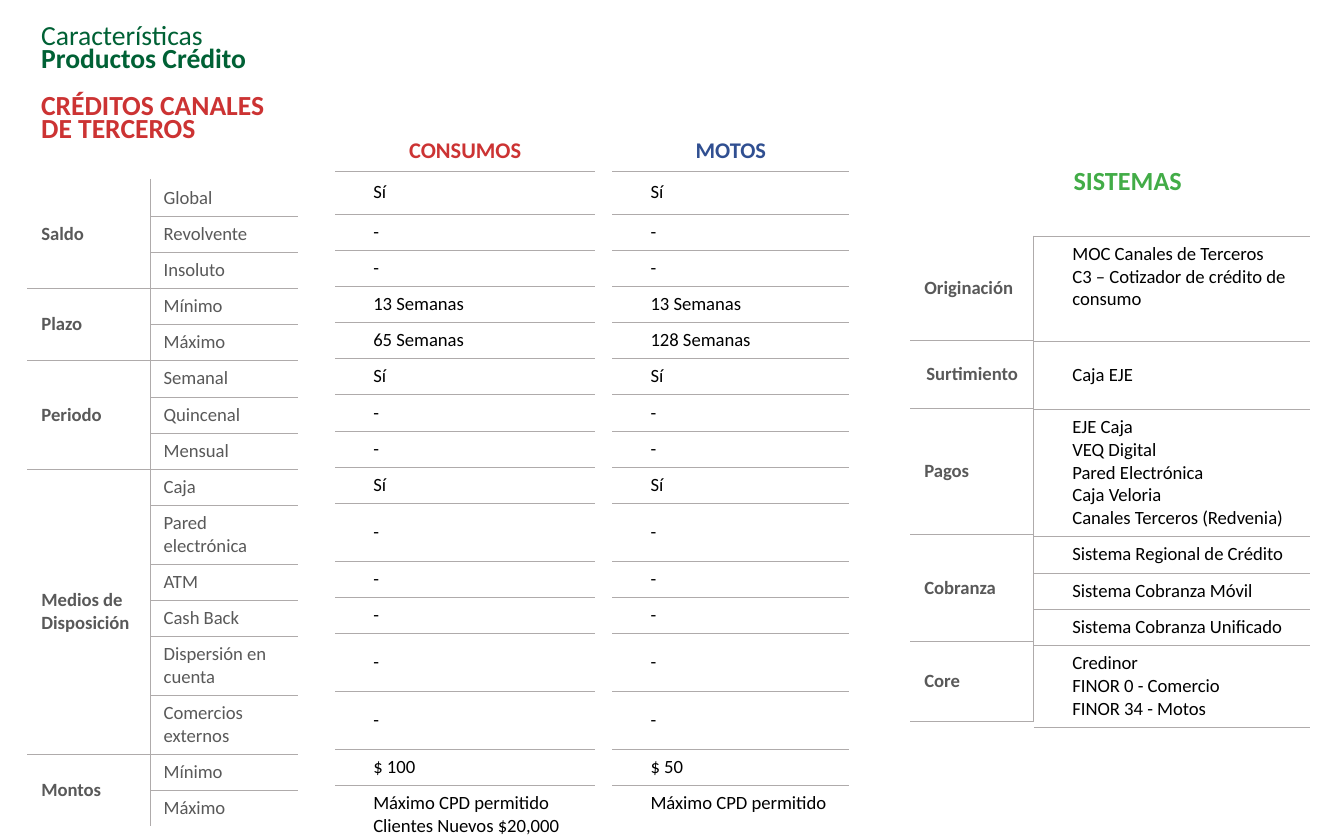
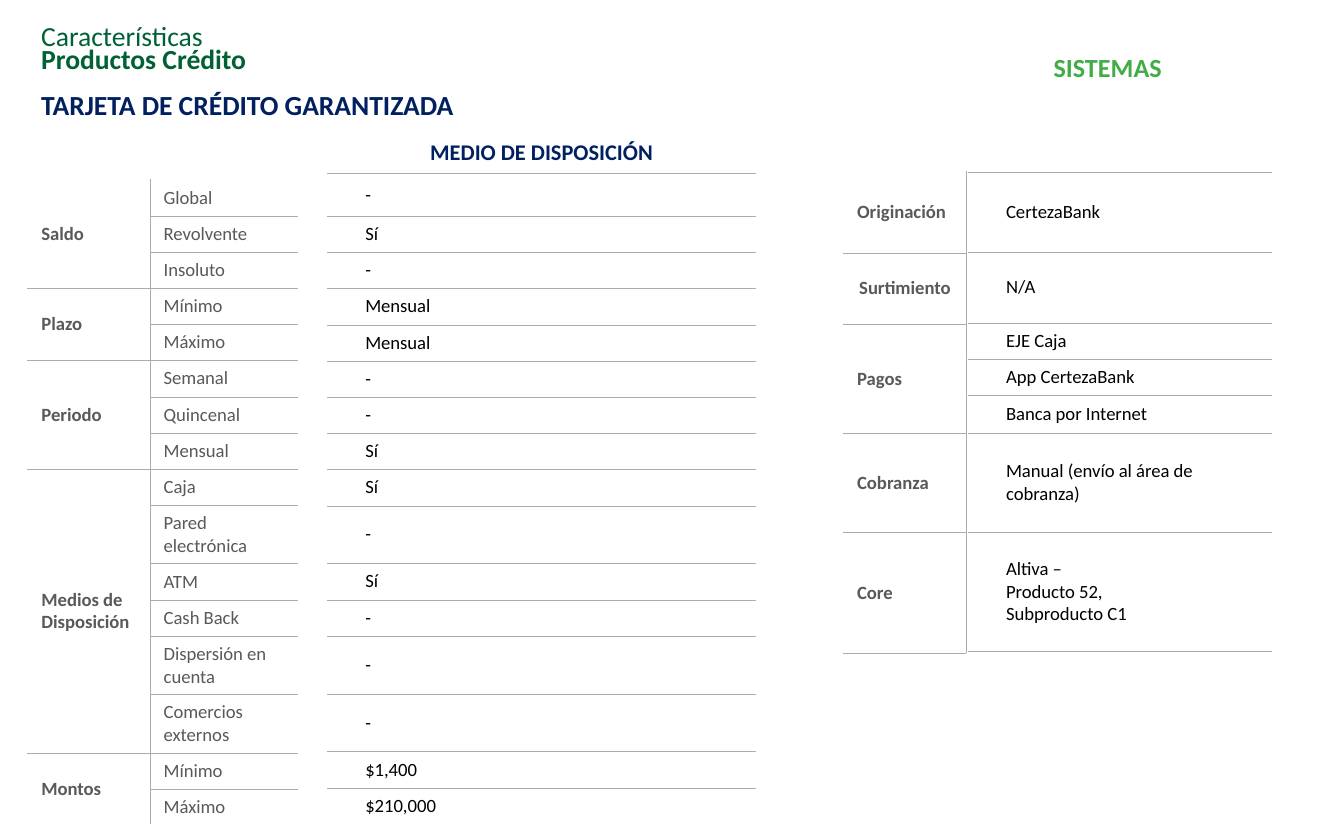
from lxml import etree
from pptx import Presentation
from pptx.dml.color import RGBColor
from pptx.enum import text
from pptx.oxml import ns
from pptx.util import Pt

FONT = "Calibri"
DARK_GREEN, GREEN = "006135", "42AC47"
RED, BLUE, NAVY = "CC3333", "304F91", "002060"
GRAY, BLACK, WHITE, RULE = "595959", "000000", "FFFFFF", "AFABAB"
ANCHOR = text.MSO_ANCHOR
CENTER = text.PP_ALIGN.CENTER

# Row heights: header, first row, one line of text, two lines of text
HEAD, FIRST, ONE, TWO = 69, 23, 19.4, 31
VALUE_ROWS = [HEAD, FIRST] + [ONE] * 8 + [TWO, ONE, ONE, TWO, TWO, ONE, ONE]

FEATURES = [
    ("Saldo", ["Global", "Revolvente", "Insoluto"]),
    ("Plazo", ["Mínimo", "Máximo"]),
    ("Periodo", ["Semanal", "Quincenal", "Mensual"]),
    ("Medios de Disposición", ["Caja", "Pared electrónica", "ATM", "Cash Back",
                               "Dispersión en cuenta", "Comercios externos"]),
    ("Montos", ["Mínimo", "Máximo"]),
]
TWO_LINE_FEATURES = ("Pared electrónica", "Dispersión en cuenta",
                     "Comercios externos")
SYSTEM_LABELS = ["Originación", "Surtimiento", "Pagos", "Cobranza", "Core"]

CONSUMOS = ["Sí", "-", "-", "13 Semanas", "65 Semanas", "Sí", "-", "-", "Sí",
            "-", "-", "-", "-", "-", "$ 100",
            "Máximo CPD permitido\nClientes Nuevos $20,000"]
MOTOS = ["Sí", "-", "-", "13 Semanas", "128 Semanas", "Sí", "-", "-", "Sí",
         "-", "-", "-", "-", "-", "$ 50", "Máximo CPD permitido"]
GARANTIZADA = ["-", "Sí", "-", "Mensual", "Mensual", "-", "-", "Sí", "Sí",
               "-", "Sí", "-", "-", "-", "$1,400", "$210,000"]

THIRD_PARTY_SYSTEMS = [
    "MOC Canales de Terceros\nC3 – Cotizador de crédito de consumo",
    "Caja EJE",
    "EJE Caja\nVEQ Digital\nPared Electrónica\nCaja Veloria\n"
    "Canales Terceros (Redvenia)",
    "Sistema Regional de Crédito",
    "Sistema Cobranza Móvil",
    "Sistema Cobranza Unificado",
    "Credinor\nFINOR 0 - Comercio\nFINOR 34 - Motos",
]
CARD_SYSTEMS = [
    "CertezaBank", "N/A", "EJE Caja", "App CertezaBank", "Banca por Internet",
    "Manual (envío al área de cobranza)",
    "Altiva –\nProducto 52,\nSubproducto C1",
]


def rgb(value):
    return RGBColor.from_string(value)


def style_text(p, size, color, bold=False, align=None):
    f = p.font
    f.name, f.size, f.bold = FONT, Pt(size), bold
    f.color.rgb = rgb(color)
    if align is not None:
        p.alignment = align


# Tables
def set_borders(cell, ruled):
    """Draw gray rules on the sides named in ruled, white ones elsewhere."""
    tc_pr = cell._tc.get_or_add_tcPr()
    for side in "LRTB":
        color, width = (RULE, 0.25) if side in ruled else (WHITE, 1)
        ln = etree.SubElement(tc_pr, ns.qn(f"a:ln{side}"), w=str(Pt(width)))
        fill = etree.SubElement(ln, ns.qn("a:solidFill"))
        etree.SubElement(fill, ns.qn("a:srgbClr"), val=color)


def fill_cell(cell, words, ruled, size=10, color=BLACK, bold=False,
              align=None, anchor=ANCHOR.MIDDLE):
    set_borders(cell, ruled)
    cell.fill.background()
    cell.vertical_anchor = anchor
    cell.text = words
    for p in cell.text_frame.paragraphs:
        style_text(p, size, color, bold, align)


def add_grid(s, left, top, widths, heights):
    shape = s.shapes.add_table(len(heights), len(widths), Pt(left), Pt(top),
                               Pt(sum(widths)), Pt(sum(heights)))
    table = shape.table
    table.first_row = table.horz_banding = False
    for column, width in zip(table.columns, widths):
        column.width = Pt(width)
    for row, height in zip(table.rows, heights):
        row.height = Pt(height)
    return table


def add_values(s, left, top, width, heights, header, values, color=BLACK,
               closed=False):
    """One column of values; closed adds a rule under the last row."""
    table = add_grid(s, left, top, [width], heights)
    fill_cell(table.cell(0, 0), header, "B", 12, color, True, CENTER,
              ANCHOR.BOTTOM)
    for i, value in enumerate(values, 1):
        cell = table.cell(i, 0)
        fill_cell(cell, value, "TB" if closed or i < len(values) else "T")
        cell.margin_left = Pt(20)
    return table


def add_features(s):
    names = [name for _, group in FEATURES for name in group]
    heights = [TWO if name in TWO_LINE_FEATURES else ONE for name in names]
    table = add_grid(s, 15, 96.2, [65.5, 78.5], heights)
    last = len(names) - 1
    row = 0
    for title, group in FEATURES:
        end = row + len(group) - 1
        table.cell(row, 0).merge(table.cell(end, 0))
        for i, name in enumerate(group, row):
            inner = ("T" if i else "") + ("B" if i < last else "")
            fill_cell(table.cell(i, 1), name, "L" + inner, color=GRAY)
        outer = ("T" if row else "") + ("B" if end < last else "")
        fill_cell(table.cell(row, 0), title, "R" + outer, color=GRAY, bold=True)
        row = end + 1


def add_system_labels(s, left, top, heights):
    table = add_grid(s, left, top, [65.5], heights)
    for i, label in enumerate(SYSTEM_LABELS):
        fill_cell(table.cell(i, 0), label, "TRB" if i else "RB", color=GRAY,
                  bold=True, align=CENTER if label == "Surtimiento" else None)


# Text
def add_title(s, top, width, height, product, color):
    tf = s.shapes.add_textbox(Pt(15), Pt(top), Pt(width), Pt(height)).text_frame
    tf.word_wrap = True
    tf.vertical_anchor = ANCHOR.MIDDLE
    lines = [("Características", DARK_GREEN), ("Productos Crédito", DARK_GREEN)]
    lines += [(line, color) for line in product]
    tf.text = "\n".join(line for line, _ in lines)
    for i, (p, (_, line_color)) in enumerate(zip(tf.paragraphs, lines)):
        p.line_spacing = 0.7
        if i == 2:
            p.space_before = Pt(12.6)
        style_text(p, 14.8, line_color, bold=i > 0)


def add_systems_heading(s, left, top):
    tf = s.shapes.add_textbox(Pt(left), Pt(top), Pt(73.5), Pt(24.5)).text_frame
    tf.word_wrap = False
    tf.auto_size = text.MSO_AUTO_SIZE.SHAPE_TO_FIT_TEXT
    tf.text = "SISTEMAS"
    style_text(tf.paragraphs[0], 14, GREEN, True)


# Slides
def third_party_slide(s):
    add_values(s, 180, 22.5, 138.5, VALUE_ROWS[:-1] + [TWO + 0.6], "CONSUMOS",
               CONSUMOS, RED)
    add_features(s)
    add_values(s, 328.5, 22.5, 126, VALUE_ROWS, "MOTOS", MOTOS, BLUE)
    add_title(s, 7.2, 216.5, 77, ["CRÉDITOS CANALES", "DE TERCEROS"], RED)
    add_system_labels(s, 488, 126.7, [55.5, 36.5, 67.5, 57.5, 43])
    systems = add_values(s, 554.5, 57.6, 147,
                         [HEAD, 56.2, 36.5, 68.2, ONE, ONE, ONE, 43.8],
                         "", THIRD_PARTY_SYSTEMS, closed=True)
    systems.cell(1, 0).vertical_anchor = ANCHOR.TOP
    add_systems_heading(s, 568, 84.5)


def card_slide(s):
    add_values(s, 175.7, 23.8, 229, VALUE_ROWS, "MEDIO DE DISPOSICIÓN",
               GARANTIZADA, NAVY)
    add_features(s)
    add_title(s, 9.4, 576, 60.5, ["TARJETA DE CRÉDITO GARANTIZADA"], NAVY)
    add_systems_heading(s, 557.3, 24)
    add_system_labels(s, 452, 92, [43.5, 38, 58.8, 53, 64.5])
    add_values(s, 519, 23, 162, [HEAD, 43, 38, ONE, ONE, 20.2, 53, 64.2],
               "", CARD_SYSTEMS, closed=True)


def main():
    prs = Presentation()
    prs.slide_width, prs.slide_height = Pt(720), Pt(450)
    for build in (third_party_slide, card_slide):
        build(prs.slides.add_slide(prs.slide_layouts[6]))
    prs.save("out.pptx")


if __name__ == "__main__":
    main()
